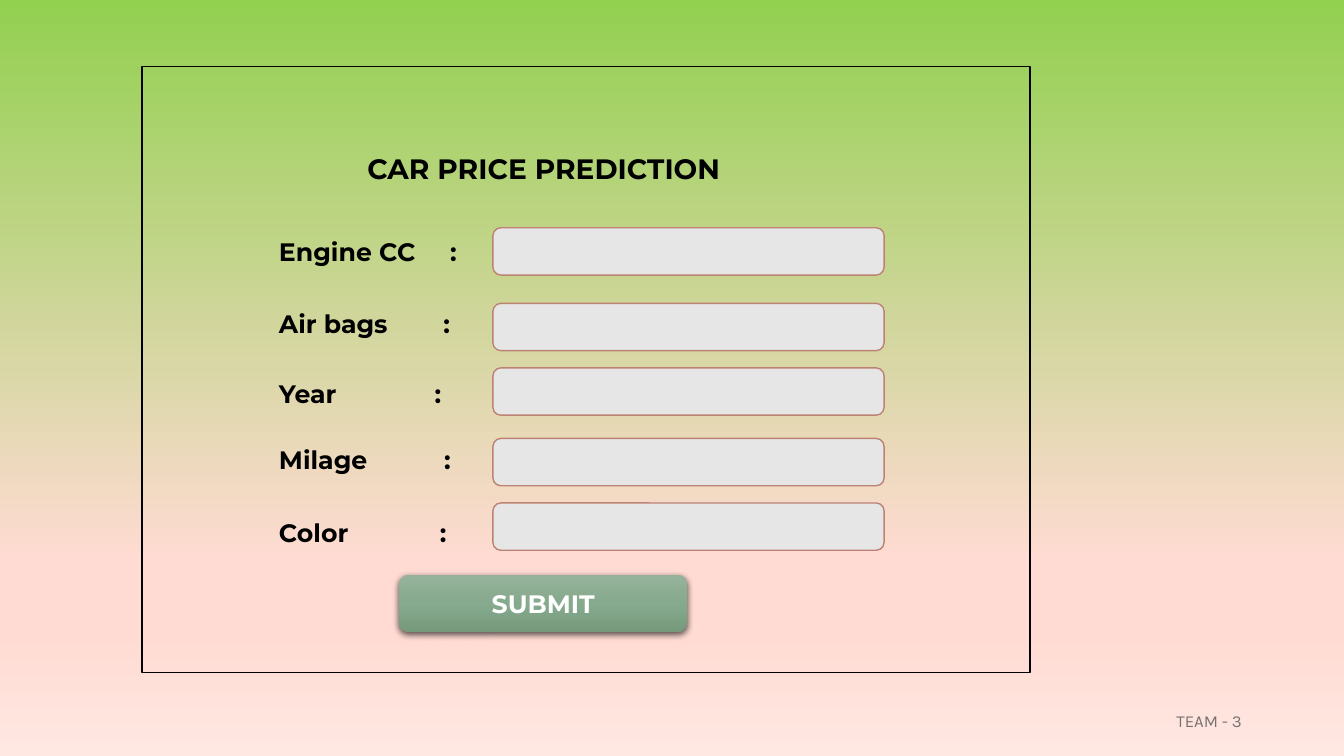
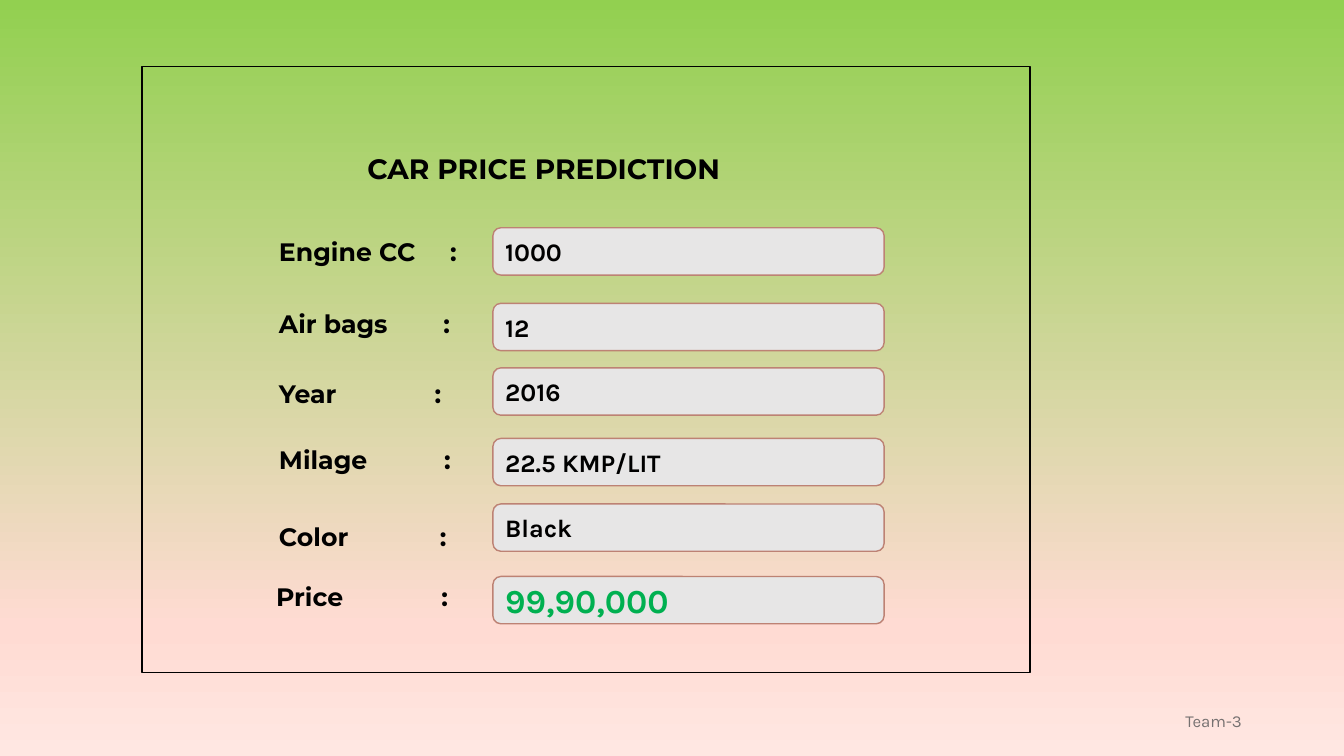
"""Build the empty and the completed car price prediction form slides."""
from dataclasses import dataclass
from typing import NamedTuple

import lxml.etree
import pptx
import pptx.dml.color
import pptx.enum.shapes
import pptx.enum.text
import pptx.oxml.ns
import pptx.shapes.autoshape
import pptx.slide
import pptx.util

Pt = pptx.util.Pt
qn = pptx.oxml.ns.qn
Align = pptx.enum.text.PP_ALIGN
Anchor = pptx.enum.text.MSO_ANCHOR
Preset = pptx.enum.shapes.MSO_SHAPE
Stops = tuple[tuple[int, str], ...]


@dataclass(frozen=True)
class Theme:
    """Colours, fonts and type sizes."""
    black: str = "000000"
    white: str = "FFFFFF"
    footer: str = "767171"
    field: str = "E7E6E6"
    field_line: str = "BD8274"
    price: str = "00B050"
    button: Stops = ((0, "96B29B"), (50, "86AA8D"), (100, "76997C"))
    sky_top: str = "92D050"
    sky_middle: str = "FFDBD3"
    sky_bottom: str = "FFE7E2"
    heading_font: str = "Montserrat"
    body_font: str = "Karla"
    footer_size: int = 12
    body_size: int = 18
    title_size: int = 20
    price_size: int = 24


class Box(NamedTuple):
    """Left, top, width and height in points."""
    left: float
    top: float
    width: float
    height: float


class TextStyle(NamedTuple):
    """Look and placement of one paragraph."""
    font: str
    size: int
    color: str
    bold: bool = True
    align: Align = Align.LEFT
    anchor: Anchor = Anchor.MIDDLE


class Row(NamedTuple):
    """One form row: its label, the colon's tab stop and its input field."""
    label: str
    colon: float
    label_top: float
    field_top: float
    value: str = ""
    label_left: float = 192.2


THEME = Theme()
LABEL = TextStyle(THEME.heading_font, THEME.body_size, THEME.black, anchor=Anchor.TOP)
TITLE = TextStyle(THEME.heading_font, THEME.title_size, THEME.black, True, Align.CENTER, Anchor.TOP)
BUTTON = TextStyle(THEME.heading_font, THEME.body_size, THEME.white, True, Align.CENTER)
VALUE = TextStyle(THEME.body_font, THEME.body_size, THEME.black)
PRICE = TextStyle(THEME.body_font, THEME.price_size, THEME.price)
FOOTER = TextStyle(THEME.body_font, THEME.footer_size, THEME.footer, False, Align.RIGHT)

SHARED_ROWS = (
    Row("Engine CC", 122.2, 165.6, 162.7, "1000"),
    Row("Air bags", 117.4, 216.7, 216.7, "12"),
    Row("Year", 111.2, 266.4, 262.8, "2016"),
    Row("Milage", 118, 313.9, 313.2, "22.5 KMP/LIT"),
)
EMPTY_COLOR = Row("Color", 115, 365.8, 359.3)
FILLED_COLOR = Row("Color", 115, 368.6, 360, "Black")
PRICE_ROW = Row("Price", 118, 411.8, 411.8, "99,90,000", 190.1)


def rgb(color: str) -> pptx.dml.color.RGBColor:
    """Turn a hex string into a colour."""
    return pptx.dml.color.RGBColor.from_string(color)


def set_gradient(fill: pptx.dml.fill.FillFormat, element: lxml.etree.ElementBase, stops: Stops) -> None:
    """Fill from top to bottom with the given percentage stops."""
    fill.gradient()
    fill.gradient_angle = 270
    stop_list = next(element.iter(qn("a:gsLst")))
    for old_stop in list(stop_list):
        stop_list.remove(old_stop)
    for percent, color in stops:
        stop = lxml.etree.SubElement(stop_list, qn("a:gs"), pos=str(percent * 1000))
        lxml.etree.SubElement(stop, qn("a:srgbClr"), val=color)


def write_text(frame: pptx.text.text.TextFrame, text: str, style: TextStyle, tab: float = 0) -> None:
    """Write one styled paragraph, with an optional tab stop."""
    frame.word_wrap = True
    frame.vertical_anchor = style.anchor
    paragraph = frame.paragraphs[0]
    paragraph.text = text
    paragraph.alignment = style.align
    if tab:
        properties = next(frame._txBody.iter(qn("a:pPr")))
        tab_list = lxml.etree.SubElement(properties, qn("a:tabLst"))
        lxml.etree.SubElement(tab_list, qn("a:tab"), pos=str(Pt(tab)), algn="l")
    font = paragraph.font
    font.name = style.font
    font.size = Pt(style.size)
    font.bold = style.bold
    font.color.rgb = rgb(style.color)


def add_text(slide: pptx.slide.Slide, box: Box, text: str, style: TextStyle, tab: float = 0) -> None:
    """Add a text box."""
    shape = slide.shapes.add_textbox(*map(Pt, box))
    write_text(shape.text_frame, text, style, tab)


def add_box(slide: pptx.slide.Slide, preset: Preset, box: Box,
            line: str = "", fill: str = "") -> pptx.shapes.autoshape.Shape:
    """Add a preset shape without shadow."""
    shape = slide.shapes.add_shape(preset, *map(Pt, box))
    shape.shadow.inherit = False
    if fill:
        shape.fill.solid()
        shape.fill.fore_color.rgb = rgb(fill)
    else:
        shape.fill.background()
    if line:
        shape.line.color.rgb = rgb(line)
        shape.line.width = Pt(1)
    else:
        shape.line.fill.background()
    return shape


def add_row(slide: pptx.slide.Slide, row: Row, value: str, style: TextStyle = VALUE) -> None:
    """Add a label with its input field."""
    field = add_box(slide, Preset.ROUNDED_RECTANGLE, Box(352.1, row.field_top, 279.4, 33.8),
                    THEME.field_line, THEME.field)
    if value:
        write_text(field.text_frame, value, style)
    add_text(slide, Box(row.label_left, row.label_top, 179.3, 28.8), f"{row.label}\t:", LABEL, row.colon)


def add_submit_button(slide: pptx.slide.Slide) -> None:
    """Add the shaded submit button with its soft shadow."""
    button = add_box(slide, Preset.ROUNDED_RECTANGLE, Box(285.1, 410.4, 205.9, 41))
    set_gradient(button.fill, button.element, THEME.button)
    effects = next(button.element.iter(qn("a:effectLst")))
    shadow = lxml.etree.SubElement(effects, qn("a:outerShdw"), blurRad=str(Pt(4.5)), dist=str(Pt(1.5)),
                                   dir="5400000", algn="ctr", rotWithShape="0")
    color = lxml.etree.SubElement(shadow, qn("a:srgbClr"), val=THEME.black)
    lxml.etree.SubElement(color, qn("a:alpha"), val="63000")
    write_text(button.text_frame, "SUBMIT", BUTTON)


def add_form_slide(presentation: pptx.presentation.Presentation, footer: str,
                   middle_stops: tuple[int, ...]) -> pptx.slide.Slide:
    """Add a slide with the shared background, frame, title and footer."""
    slide = presentation.slides.add_slide(presentation.slide_layouts[6])
    middle = tuple((percent, THEME.sky_middle) for percent in middle_stops)
    stops = ((0, THEME.sky_top), *middle, (100, THEME.sky_bottom))
    set_gradient(slide.background.fill, slide.element, stops)
    add_text(slide, Box(678.2, 500.4, 216, 28.8), footer, FOOTER)
    add_box(slide, Preset.RECTANGLE, Box(101.5, 47.5, 634.3, 432.7), THEME.black)
    add_text(slide, Box(228.2, 104.4, 320.4, 31.7), "CAR PRICE PREDICTION", TITLE)
    return slide


def main() -> None:
    """Build and save the presentation."""
    presentation = pptx.Presentation()
    presentation.slide_width, presentation.slide_height = Pt(960), Pt(540)

    empty_form = add_form_slide(presentation, "TEAM - 3", (74, 83))
    for row in (*SHARED_ROWS, EMPTY_COLOR):
        add_row(empty_form, row, "")
    add_submit_button(empty_form)

    filled_form = add_form_slide(presentation, "Team-3", (83,))
    for row in (*SHARED_ROWS, FILLED_COLOR):
        add_row(filled_form, row, row.value)
    add_row(filled_form, PRICE_ROW, PRICE_ROW.value, PRICE)

    presentation.save("out.pptx")


if __name__ == "__main__":
    main()
